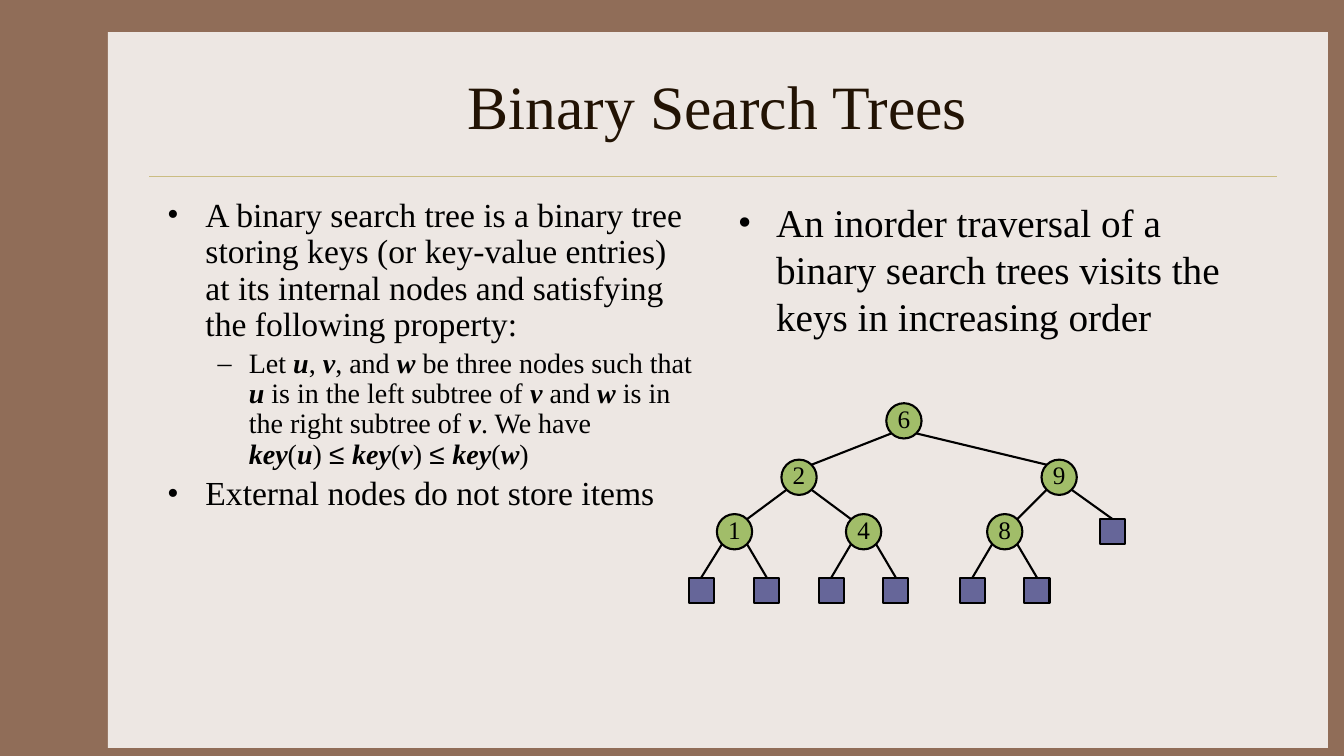
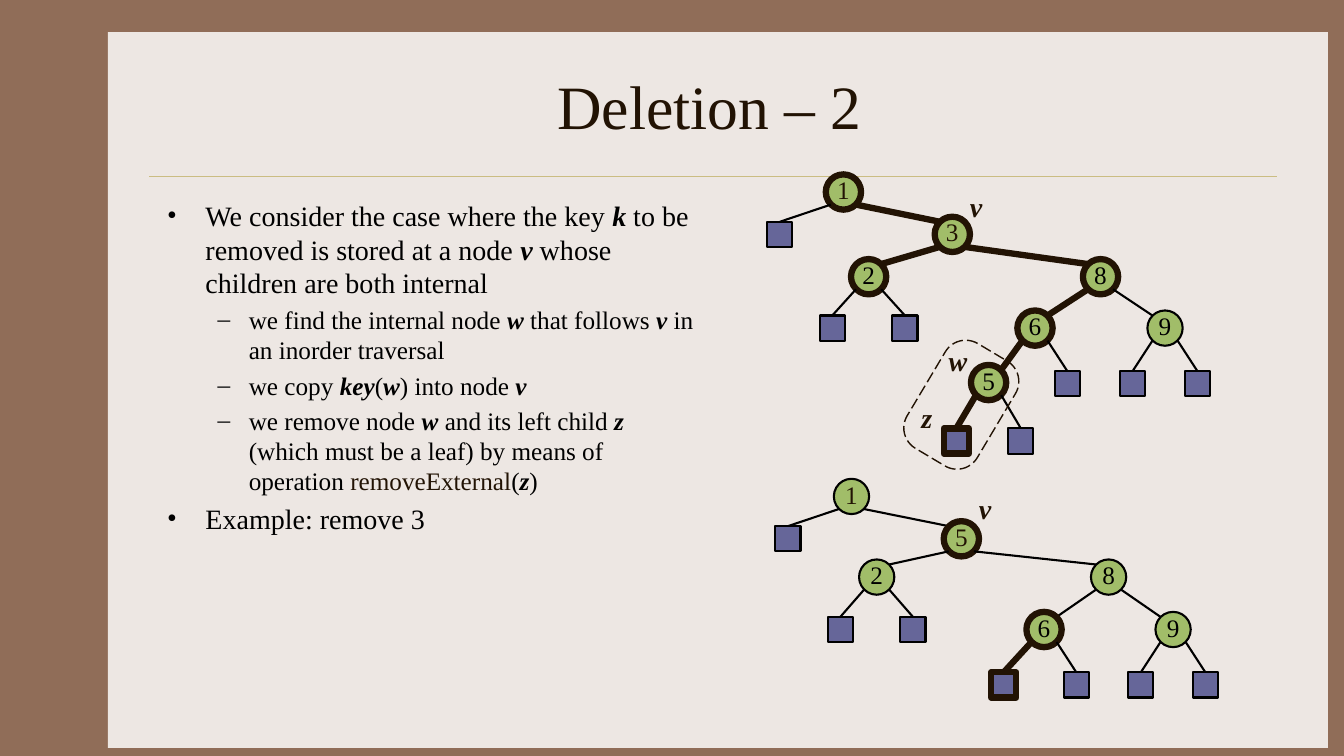
import dataclasses

import lxml.etree
import pptx
import pptx.dml.color
import pptx.enum.dml
import pptx.enum.shapes
import pptx.enum.text
import pptx.oxml.ns
import pptx.util
from pptx.util import Inches


@dataclasses.dataclass(frozen=True)
class Theme:
    background: str = "906D58"
    panel: str = "EDE7E3"
    rule: str = "CBBD83"
    accent: str = "221304"
    text: str = "000000"
    circle: str = "A1BD69"
    leaf: str = "666699"
    font: str = "Times New Roman"
    symbol_font: str = "Arial"
    title_size: int = 44
    key_size: int = 18
    label_size: int = 20
    hairline: float = 0.25
    thin: float = 1.5
    thick: float = 4.5


theme = Theme()
rgb = pptx.dml.color.RGBColor.from_string
qualified = pptx.oxml.ns.qn
shape_types = pptx.enum.shapes.MSO_SHAPE
middle = pptx.enum.text.MSO_ANCHOR.MIDDLE
centre = pptx.enum.text.PP_ALIGN.CENTER

# The first character of a piece of text selects its style.
run_styles = {
    "*": {"bold": True, "italic": True},
    "~": {"name": theme.symbol_font},
    "@": {"color": theme.accent},
}
bullet_levels = [("•", 0.38, -0.38), ("–", 0.81, -0.31)]

circle_size = 0.35
leaf_size = 0.25
corner_inset = 0.05  # from the circle's bounding box to its diagonal points

# Body: left, top, width, height, line spacing, paragraphs (level, size, text).
# Tree node: key (empty for a leaf), left, top, parent key, highlighted.
slides = [
    {
        "title": "Binary Search Trees",
        "bodies": [
            (1.56, 1.92, 5.44, 4.5, 0.9, [
                (0, 24, "A binary search tree is a binary tree storing keys (or key-value entries) "
                        "at its internal nodes and satisfying the following property:"),
                (1, 20, "Let |*u|, |*v|, and |*w| be three nodes such that |*u| is in the left subtree of "
                        "|*v| and |*w| is in the right subtree of |*v|. We have |\n|*key|(|*u|) |~≤ "
                        "|*key|(|*v|) |~≤ |*key|(|*w|)"),
                (0, 24, "External nodes do not store items"),
            ]),
            (7.22, 1.92, 5.44, 1.52, 1.0, [
                (0, 28, "An inorder traversal of a binary search trees visits the keys in increasing order"),
            ]),
        ],
        "trees": [
            {"accent_keys": "", "nodes": [
                ("6", 8.79, 4.0, None, False),
                ("2", 7.75, 4.56, "6", False),
                ("9", 10.33, 4.56, "6", False),
                ("1", 7.11, 5.1, "2", False),
                ("4", 8.39, 5.1, "2", False),
                ("8", 9.79, 5.1, "9", False),
                ("", 10.91, 5.15, "9", False),
                ("", 6.83, 5.73, "1", False),
                ("", 7.48, 5.73, "1", False),
                ("", 8.12, 5.73, "4", False),
                ("", 8.76, 5.73, "4", False),
                ("", 9.52, 5.73, "8", False),
                ("", 10.16, 5.73, "8", False),
            ]},
        ],
        "labels": [],
        "outlines": [],
    },
    {
        "title": "Deletion – 2 ",
        "bodies": [
            (1.56, 1.92, 5.44, 4.5, 1.0, [
                (0, 20, "We consider the case where the key |*k| to be removed is stored at a node "
                        "|*v| whose children are both internal"),
                (1, 18, "we find the internal node |*w |that follows |*v| in an inorder traversal"),
                (1, 18, "we copy |*key|(|*w|) into node |*v"),
                (1, 18, "we remove node |*w |and its left child |*z |(which must be a leaf) by means of "
                        "operation |@removeExternal|(|*z|)"),
                (0, 20, "Example: remove 3"),
            ]),
        ],
        "trees": [
            {"accent_keys": "13", "nodes": [
                ("1", 8.19, 1.73, None, True),
                ("", 7.61, 2.2, "1", False),
                ("3", 9.27, 2.15, "1", True),
                ("2", 8.44, 2.57, "3", True),
                ("8", 10.74, 2.57, "3", True),
                ("", 8.13, 3.13, "2", False),
                ("", 8.85, 3.13, "2", False),
                ("6", 10.09, 3.08, "8", True),
                ("9", 11.38, 3.08, "8", False),
                ("5", 9.63, 3.62, "6", True),
                ("", 10.46, 3.68, "6", False),
                ("", 11.11, 3.68, "9", False),
                ("", 11.75, 3.68, "9", False),
                ("", 9.36, 4.25, "5", True),
                ("", 10.0, 4.25, "5", False),
            ]},
            {"accent_keys": "15", "nodes": [
                ("1", 8.27, 4.75, None, False),
                ("", 7.69, 5.22, "1", False),
                ("5", 9.36, 5.17, "1", True),
                ("2", 8.52, 5.55, "5", False),
                ("8", 10.82, 5.55, "5", False),
                ("", 8.21, 6.12, "2", False),
                ("", 8.93, 6.12, "2", False),
                ("6", 10.18, 6.07, "8", True),
                ("9", 11.46, 6.07, "8", False),
                ("", 9.83, 6.67, "6", True),
                ("", 10.55, 6.67, "6", False),
                ("", 11.19, 6.67, "9", False),
                ("", 11.83, 6.67, "9", False),
            ]},
        ],
        "labels": [
            ("v", 9.52, 1.83, 0.32),
            ("w", 9.31, 3.36, 0.39),
            ("z", 9.04, 3.92, 0.31),
            ("v", 9.61, 4.83, 0.32),
        ],
        "outlines": [(8.93, 3.61, 1.21, 0.81, 300.8)],
    },
]


def add_line(slide, start, end, color, width):
    connector = slide.shapes.add_connector(
        pptx.enum.shapes.MSO_CONNECTOR.STRAIGHT, *map(Inches, (*start, *end)))
    connector.line.color.rgb = rgb(color)
    connector.line.width = pptx.util.Pt(width)
    lxml.etree.SubElement(connector.element.spPr, qualified("a:effectLst"))
    return connector


def write_runs(paragraph, text, size, color=theme.text):
    """Write text whose pieces are split by | and styled by run_styles."""
    for piece in text.split("|"):
        if piece == "\n":
            paragraph.add_line_break()
            continue
        style = run_styles.get(piece[:1], {})
        run = paragraph.add_run()
        run.text = piece[1:] if style else piece
        values = {"name": theme.font, "size": pptx.util.Pt(size), "color": color, **style}
        run.font.color.rgb = rgb(values.pop("color"))
        for name, value in values.items():
            setattr(run.font, name, value)


presentation = pptx.Presentation()
presentation.slide_width = Inches(13.33)
presentation.slide_height = Inches(7.5)
layout = presentation.slide_layouts[5]
background = presentation.slide_master.background.fill
background.solid()
background.fore_color.rgb = rgb(theme.background)

for slide_index, content in enumerate(slides):
    slide = presentation.slides.add_slide(layout)

    # The panel and the rule are drawn once and moved to the shared layout.
    if slide_index == 0:
        panel = slide.shapes.add_shape(
            shape_types.RECTANGLE, *map(Inches, (1.07, 0.32, 12.1, 7.1)))
        panel.shadow.inherit = False
        panel.fill.solid()
        panel.fill.fore_color.rgb = rgb(theme.panel)
        panel.line.fill.background()
        rule = add_line(slide, (1.48, 1.75), (12.67, 1.75), theme.rule, theme.hairline)
        for position, shape in enumerate((panel, rule)):
            shape.element.xpath(".//p:cNvPr")[0].set("id", str(100 + position))
            layout.shapes.element.insert(2 + position, shape.element)

    title = slide.shapes.title
    title_place = {"left": 1.56, "top": 0.42, "width": 11.11, "height": 1.25}
    for name, value in title_place.items():
        setattr(title, name, Inches(value))
    title.text_frame.vertical_anchor = middle
    title.text_frame.paragraphs[0].alignment = centre
    write_runs(title.text_frame.paragraphs[0], content["title"], theme.title_size, theme.accent)

    for left, top, width, height, line_spacing, paragraphs in content["bodies"]:
        frame = slide.shapes.add_textbox(*map(Inches, (left, top, width, height))).text_frame
        frame.word_wrap = True
        for index, (level, size, text) in enumerate(paragraphs):
            paragraph = frame.add_paragraph() if index else frame.paragraphs[0]
            paragraph.level = level
            paragraph.line_spacing = line_spacing
            paragraph.space_before = pptx.util.Pt(0.2 * size if index else 0)
            character, margin, indent = bullet_levels[level]
            properties = paragraph._p.get_or_add_pPr()
            properties.set("marL", str(Inches(margin)))
            properties.set("indent", str(Inches(indent)))
            bullet_font = lxml.etree.SubElement(properties, qualified("a:buFont"))
            bullet_font.set("typeface", theme.font)
            bullet = lxml.etree.SubElement(properties, qualified("a:buChar"))
            bullet.set("char", character)
            write_runs(paragraph, text, size)

    for tree in content["trees"]:
        parents = {node[0]: node for node in tree["nodes"] if node[0]}
        for key, left, top, parent_key, highlighted in tree["nodes"]:
            size = circle_size if key else leaf_size
            if parent_key:
                _, parent_left, parent_top, _, parent_highlighted = parents[parent_key]
                near, far = corner_inset, circle_size - corner_inset
                is_left_child = left < parent_left
                start = (parent_left + (near if is_left_child else far), parent_top + far)
                if key:
                    end = (left + (far if is_left_child else near), top + near)
                else:
                    end = (left + leaf_size / 2, top)
                on_route = highlighted and parent_highlighted
                add_line(slide, start, end, theme.accent if on_route else theme.text,
                         theme.thick if on_route else theme.thin)

            node = slide.shapes.add_shape(
                shape_types.OVAL if key else shape_types.RECTANGLE,
                *map(Inches, (left, top, size, size)))
            node.shadow.inherit = False
            node.fill.solid()
            node.fill.fore_color.rgb = rgb(theme.circle if key else theme.leaf)
            node.line.color.rgb = rgb(theme.accent if highlighted else theme.text)
            node.line.width = pptx.util.Pt(theme.thick if highlighted else theme.thin)
            if key:
                frame_format = {
                    "margin_left": 0, "margin_right": 0, "margin_top": 0,
                    "margin_bottom": Inches(0.05), "word_wrap": False, "vertical_anchor": middle,
                }
                for name, value in frame_format.items():
                    setattr(node.text_frame, name, value)
                node.text_frame.paragraphs[0].alignment = centre
                write_runs(node.text_frame.paragraphs[0], key, theme.key_size,
                           theme.accent if key in tree["accent_keys"] else theme.text)

    for name, left, top, width in content["labels"]:
        label = slide.shapes.add_textbox(*map(Inches, (left, top, width, 0.43)))
        label.text_frame.word_wrap = False
        write_runs(label.text_frame.paragraphs[0], "*" + name, theme.label_size, theme.accent)

    for left, top, width, height, rotation in content["outlines"]:
        outline = slide.shapes.add_shape(
            shape_types.ROUNDED_RECTANGLE, *map(Inches, (left, top, width, height)))
        outline.shadow.inherit = False
        outline.adjustments[0] = 0.29
        outline.rotation = rotation
        outline.fill.background()
        outline.line.color.rgb = rgb(theme.accent)
        outline.line.width = pptx.util.Pt(1)
        outline.line.dash_style = pptx.enum.dml.MSO_LINE.LONG_DASH

presentation.save("out.pptx")
